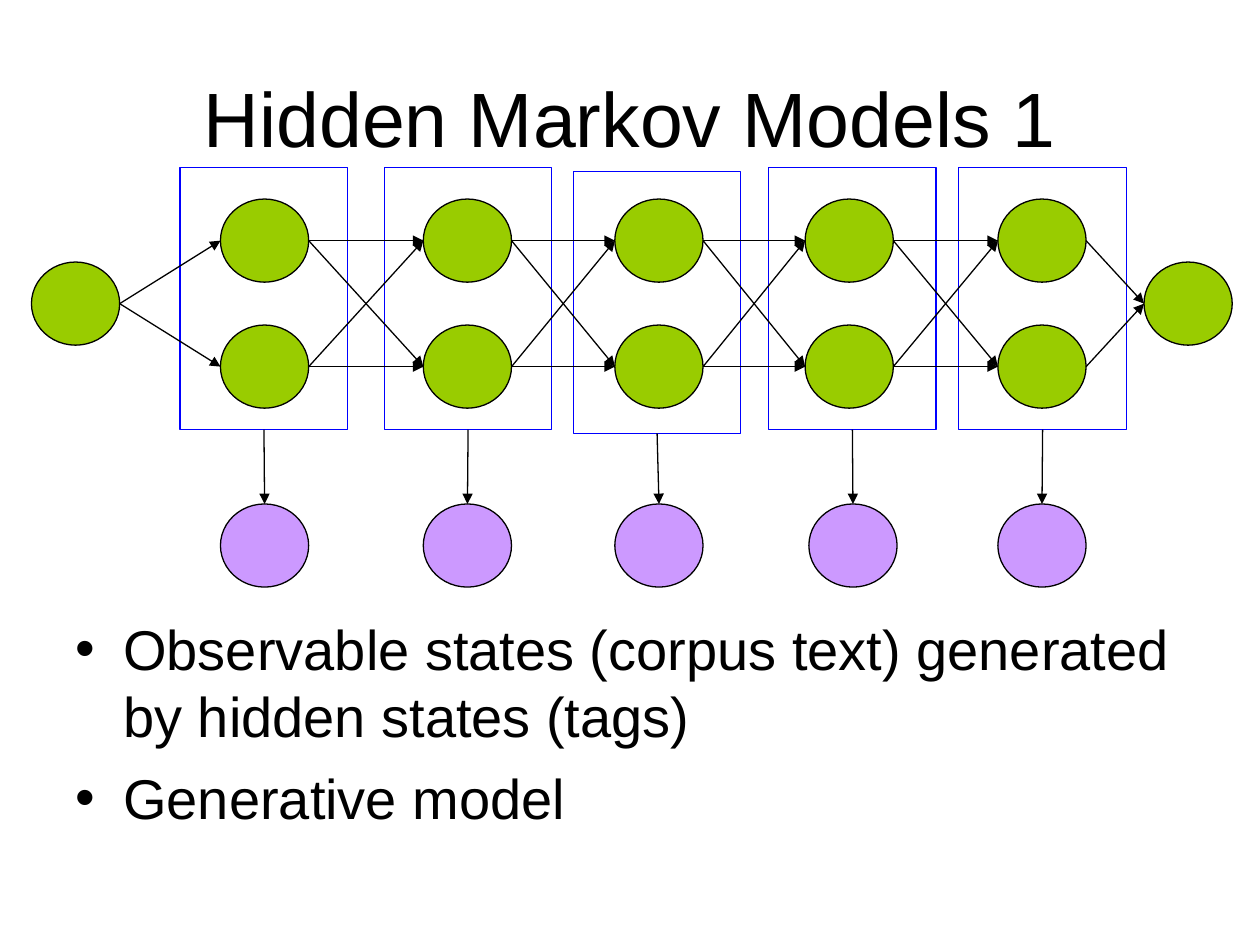
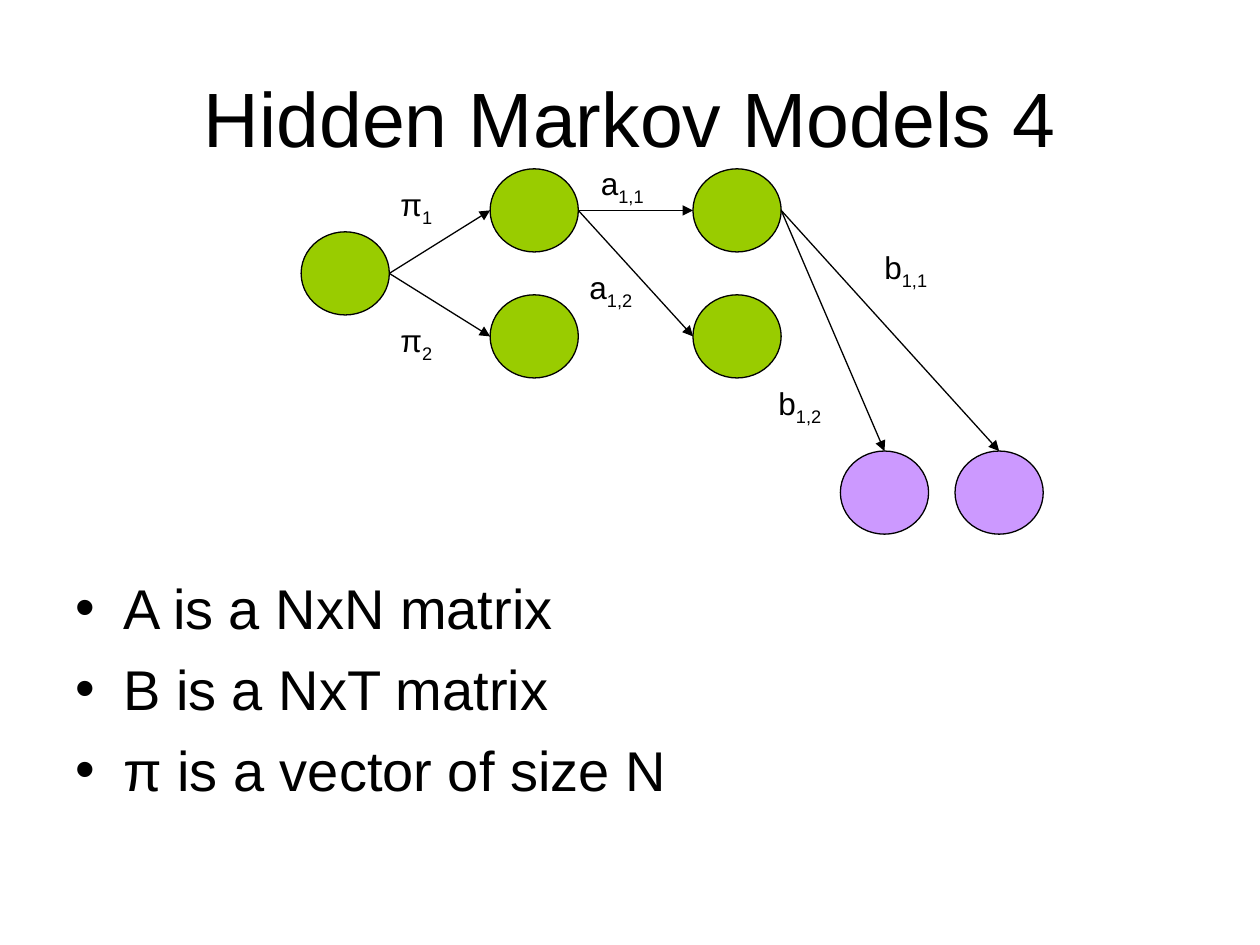
from itertools import pairwise, product

from pptx import Presentation
from pptx.dml.color import RGBColor
from pptx.enum.shapes import MSO_CONNECTOR, MSO_SHAPE
from pptx.enum.text import MSO_ANCHOR, PP_ALIGN
from pptx.oxml.ns import qn
from pptx.util import Pt
from lxml.etree import SubElement

PX = 9144  # 100 px to the inch
BLACK = RGBColor(0x00, 0x00, 0x00)
GREEN = RGBColor(0x99, 0xCC, 0x00)
LILAC = RGBColor(0xCC, 0x99, 0xFF)
BLUE = RGBColor(0x00, 0x00, 0xFF)
FONT = "Arial"
NODE = (70, 66)
FRAME = (133, 208)
ROW = 100


def scale(*sizes):
    return [size * PX for size in sizes]


def add_box(slide, box, **style):
    frame = slide.shapes.add_textbox(*scale(*box)).text_frame
    for name, value in {"word_wrap": True, **style}.items():
        setattr(frame, name, value)
    return frame


def add_run(para, text, size):
    run = para.add_run()
    run.text = text
    for name, value in {"name": FONT, "size": Pt(size)}.items():
        setattr(run.font, name, value)
    run.font.color.rgb = BLACK
    return run


def add_title(slide, text):
    frame = add_box(slide, (50, 30, 900, 125), vertical_anchor=MSO_ANCHOR.MIDDLE)
    para = frame.paragraphs[0]
    para.alignment = PP_ALIGN.CENTER
    add_run(para, text, 44)


def add_bullets(slide, box, lines):
    frame = add_box(slide, box)
    for index, line in enumerate(lines):
        para = frame.add_paragraph() if index else frame.paragraphs[0]
        para.space_before = Pt(8)
        add_run(para, line, 32)
        props = para._p.get_or_add_pPr()
        for name, value in {"marL": 38 * PX, "indent": -38 * PX}.items():
            props.set(name, str(value))
        SubElement(props, qn("a:buFont")).set("typeface", FONT)
        SubElement(props, qn("a:buChar")).set("char", "•")


def add_label(slide, left, top, name, index):
    """Write a symbol with its index as a subscript."""
    para = add_box(slide, (left, top, 58, 44), word_wrap=False).paragraphs[0]
    para.space_before = Pt(11.2)
    add_run(para, name, 18)
    add_run(para, index, 18)._r.get_or_add_rPr().set("baseline", "-25000")


def add_form(slide, kind, box, fill, line):
    form = slide.shapes.add_shape(kind, *scale(*box))
    form.shadow.inherit = False
    if fill is None:
        form.fill.background()
    else:
        form.fill.solid()
        form.fill.fore_color.rgb = fill
    form.line.color.rgb = line
    form.line.width = Pt(0.75)
    return form


def add_node(slide, left, top, fill=GREEN):
    return add_form(slide, MSO_SHAPE.OVAL, (left, top, *NODE), fill, BLACK)


def add_arrow(slide, start, end):
    arrow = slide.shapes.add_connector(MSO_CONNECTOR.STRAIGHT, *start, *end)
    arrow.line.color.rgb = BLACK
    arrow.line.width = Pt(0.75)
    SubElement(arrow.line._get_or_add_ln(), qn("a:tailEnd")).set("type", "triangle")
    SubElement(arrow._element.spPr, qn("a:effectLst"))
    return arrow


def left_of(form):
    return form.left, form.top + form.height // 2


def right_of(form):
    return form.left + form.width, form.top + form.height // 2


def top_of(form):
    return form.left + form.width // 2, form.top


def link_all(slide, before, after):
    """Draw an arrow from each node of one column to each of the next."""
    for start, end in product(before, after):
        add_arrow(slide, right_of(start), left_of(end))


def add_column(slide, left, top):
    return [add_node(slide, left, top + row * ROW) for row in range(2)]


def emit(slide, state, symbol):
    add_arrow(slide, right_of(state), top_of(symbol)).end_connect(symbol, 0)


def draw_chain(slide, left, top):
    """Draw the framed hidden states, each above its observed symbol."""
    steps = [  # state, frame left, frame top, symbol
        (150, 118, 0, 150),
        (311, 280, 0, 311),
        (463, 430, 3, 463),
        (614, 585, 0, 617),
        (767, 736, 0, 767),
    ]
    columns = [[add_node(slide, left, top + 75)]]
    for state, side, drop, seen in steps:
        columns.append(add_column(slide, left + state, top + 25))
        symbol = add_node(slide, left + seen, top + 267, LILAC)
        box = (left + side, top + drop, *FRAME)
        frame = add_form(slide, MSO_SHAPE.RECTANGLE, box, None, BLUE)
        arrow = add_arrow(slide, top_of(frame), top_of(symbol))
        arrow.begin_connect(frame, 2)
        arrow.end_connect(symbol, 0)
    columns.append([add_node(slide, left + 883, top + 75)])
    for before, after in pairwise(columns):
        link_all(slide, before, after)


def draw_model(slide, left, top):
    """Draw the start, transition and emission arrows with their symbols."""
    start = add_node(slide, left, top + 50)
    first, second = [add_column(slide, left + x, top) for x in (150, 311)]
    link_all(slide, [start], first)
    link_all(slide, first[:1], second)
    for x in (428, 519):
        emit(slide, second[0], add_node(slide, left + x, top + 224, LILAC))
    labels = [
        (69, 8, "π", "1"),
        (69, 116, "π", "2"),
        (228, -9, "a", "1,1"),
        (219, 74, "a", "1,2"),
        (453, 58, "b", "1,1"),
        (369, 166, "b", "1,2"),
    ]
    for x, y, name, index in labels:
        add_label(slide, left + x, top + y, name, index)


def add_page(deck, title, box, lines):
    slide = deck.slides.add_slide(deck.slide_layouts[6])
    add_title(slide, title)
    add_bullets(slide, box, lines)
    return slide


def main():
    deck = Presentation()
    deck.slide_width, deck.slide_height = scale(1000, 750)
    chain = add_page(deck, "Hidden Markov Models 1", (50, 483, 900, 187), [
        "Observable states (corpus text) generated by hidden states (tags)",
        "Generative model",
    ])
    draw_chain(chain, 25, 133)
    model = add_page(deck, "Hidden Markov Models 4", (50, 450, 900, 220), [
        "A is a NxN matrix",
        "B is a NxT matrix",
        "π is a vector of size N",
    ])
    draw_model(model, 239, 134)
    deck.save("out.pptx")


if __name__ == "__main__":
    main()
